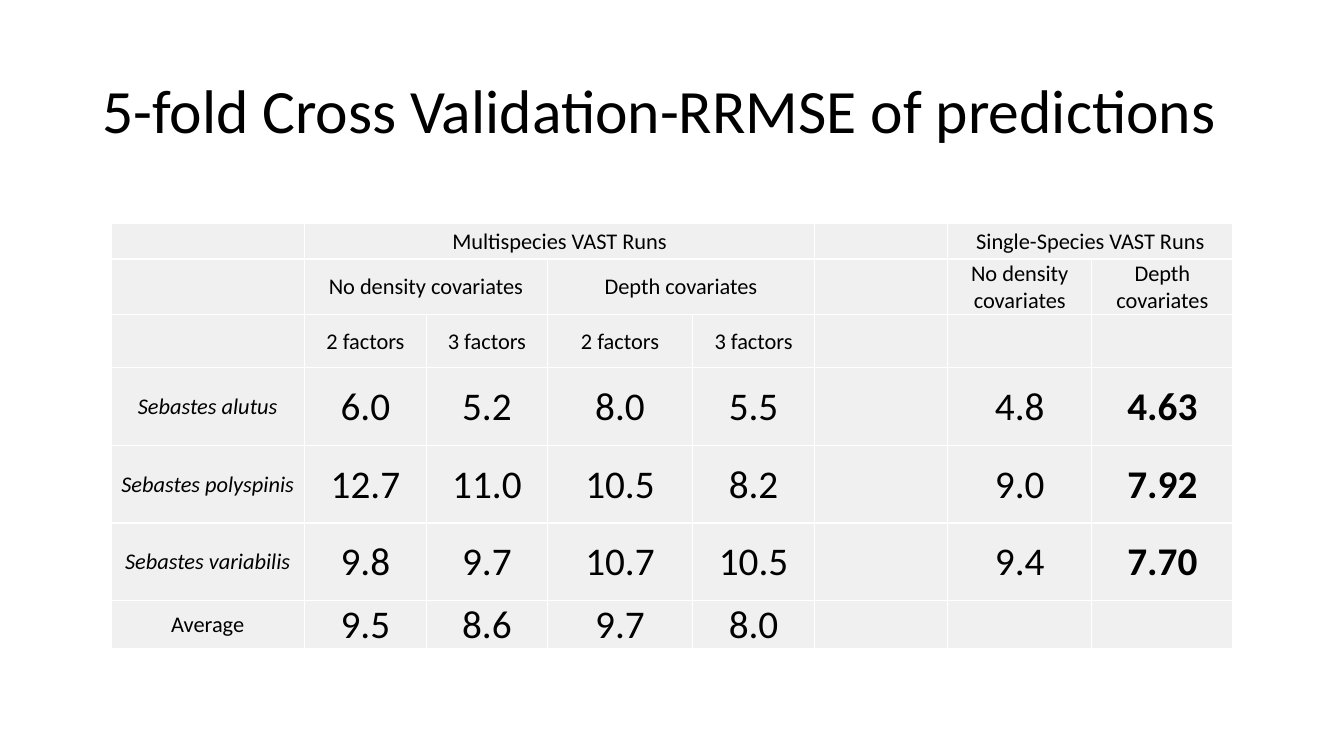
from lxml.etree import SubElement
from pptx import Presentation
from pptx.dml.color import RGBColor
from pptx.enum.text import MSO_ANCHOR, PP_ALIGN
from pptx.oxml.ns import qn
from pptx.util import Inches, Pt

COLORS = {"text": "000000", "cell": "F0F0F0", "border": "FFFFFF"}
COLUMN_WIDTHS = [1.92, 1.21, 1.2, 1.44, 1.21, 1.32, 1.43, 1.4]
ROW_HEIGHTS = [0.35, 0.55, 0.53, 0.77, 0.77, 0.77, 0.48]
HEADER_ROWS = 3
BEST_COLUMN = 7
# None continues the cell on its left
RRMSE_ROWS = [
    ["", "Multispecies VAST Runs", None, None, None, "", "Single-Species VAST Runs", None],
    ["", "No density covariates", None, "Depth covariates", None, "",
     "No density covariates", "Depth covariates"],
    ["", "2 factors", "3 factors", "2 factors", "3 factors", "", "", ""],
    ["Sebastes alutus", "6.0", "5.2", "8.0", "5.5", "", "4.8", "4.63"],
    ["Sebastes polyspinis", "12.7", "11.0", "10.5", "8.2", "", "9.0", "7.92"],
    ["Sebastes variabilis", "9.8", "9.7", "10.7", "10.5", "", "9.4", "7.70"],
    ["Average", "9.5", "8.6", "9.7", "8.0", "", "", ""],
]


class SlideBuilder:
    font = "Calibri"
    title_size, label_size, value_size = 44, 16, 28

    def __init__(self, prs):
        self.width, self.height = prs.slide_width, prs.slide_height
        self.s = prs.slides.add_slide(prs.slide_layouts[6])

    def box(self, left, top, width, height):
        """Turn shares of the slide's size into lengths."""
        return (int(left * self.width), int(top * self.height),
                int(width * self.width), int(height * self.height))

    def style(self, p, size, bold=False, italic=False):
        p.font.name = self.font
        p.font.size = Pt(size)
        p.font.bold = bold
        p.font.italic = italic
        p.font.color.rgb = RGBColor.from_string(COLORS["text"])

    def title(self, text, *shares):
        tf = self.s.shapes.add_textbox(*self.box(*shares)).text_frame
        tf.word_wrap = True
        tf.vertical_anchor = MSO_ANCHOR.MIDDLE
        p = tf.paragraphs[0]
        p.text = text
        p.line_spacing = 0.9
        self.style(p, self.title_size)

    def cell(self, cell, text, size, bold=False, italic=False):
        cell.margin_left = cell.margin_right = cell.margin_top = Inches(0.01)
        cell.margin_bottom = 0
        cell.vertical_anchor = MSO_ANCHOR.MIDDLE
        p = cell.text_frame.paragraphs[0]
        p.text = text
        p.alignment = PP_ALIGN.CENTER
        self.style(p, size, bold, italic)
        self.borders(cell)
        cell.fill.solid()
        cell.fill.fore_color.rgb = RGBColor.from_string(COLORS["cell"])

    def borders(self, cell):
        tc_pr = cell._tc.get_or_add_tcPr()
        for side in ("lnL", "lnR", "lnT", "lnB"):
            line = SubElement(tc_pr, qn(f"a:{side}"), w=str(Pt(1)))
            fill = SubElement(line, qn("a:solidFill"))
            SubElement(fill, qn("a:srgbClr"), val=COLORS["border"])

    def table(self, rows, *shares):
        """Draw the rows, with column and row weights shared over the box."""
        left, top, width, height = self.box(*shares)
        table = self.s.shapes.add_table(len(rows), len(rows[0]), left, top, width, height).table
        table.first_row = table.horz_banding = False
        for column, weight in zip(table.columns, COLUMN_WIDTHS):
            column.width = int(width * weight / sum(COLUMN_WIDTHS))
        for row, weight in zip(table.rows, ROW_HEIGHTS):
            row.height = int(height * weight / sum(ROW_HEIGHTS))
        for i, texts in enumerate(rows):
            for j, text in enumerate(texts):
                is_value = i >= HEADER_ROWS and j > 0 and text
                self.cell(table.cell(i, j), text or "",
                          self.value_size if is_value else self.label_size,
                          bold=bool(is_value) and j == BEST_COLUMN,
                          italic=j == 0 and text.startswith("Sebastes"))
            for j, text in enumerate(texts):
                last = j
                while last + 1 < len(texts) and texts[last + 1] is None:
                    last += 1
                if text is not None and last > j:
                    table.cell(i, j).merge(table.cell(i, last))


def main():
    prs = Presentation()
    prs.slide_width, prs.slide_height = Inches(13.33), Inches(7.5)
    slide = SlideBuilder(prs)
    slide.title("5-fold Cross Validation-RRMSE of predictions",
                0.92 / 13.33, 0.4 / 7.5, 11.5 / 13.33, 1.45 / 7.5)
    slide.table(RRMSE_ROWS, 1.1 / 13.33, 2.22 / 7.5, 11.13 / 13.33, 4.22 / 7.5)
    prs.save("out.pptx")


if __name__ == "__main__":
    main()
